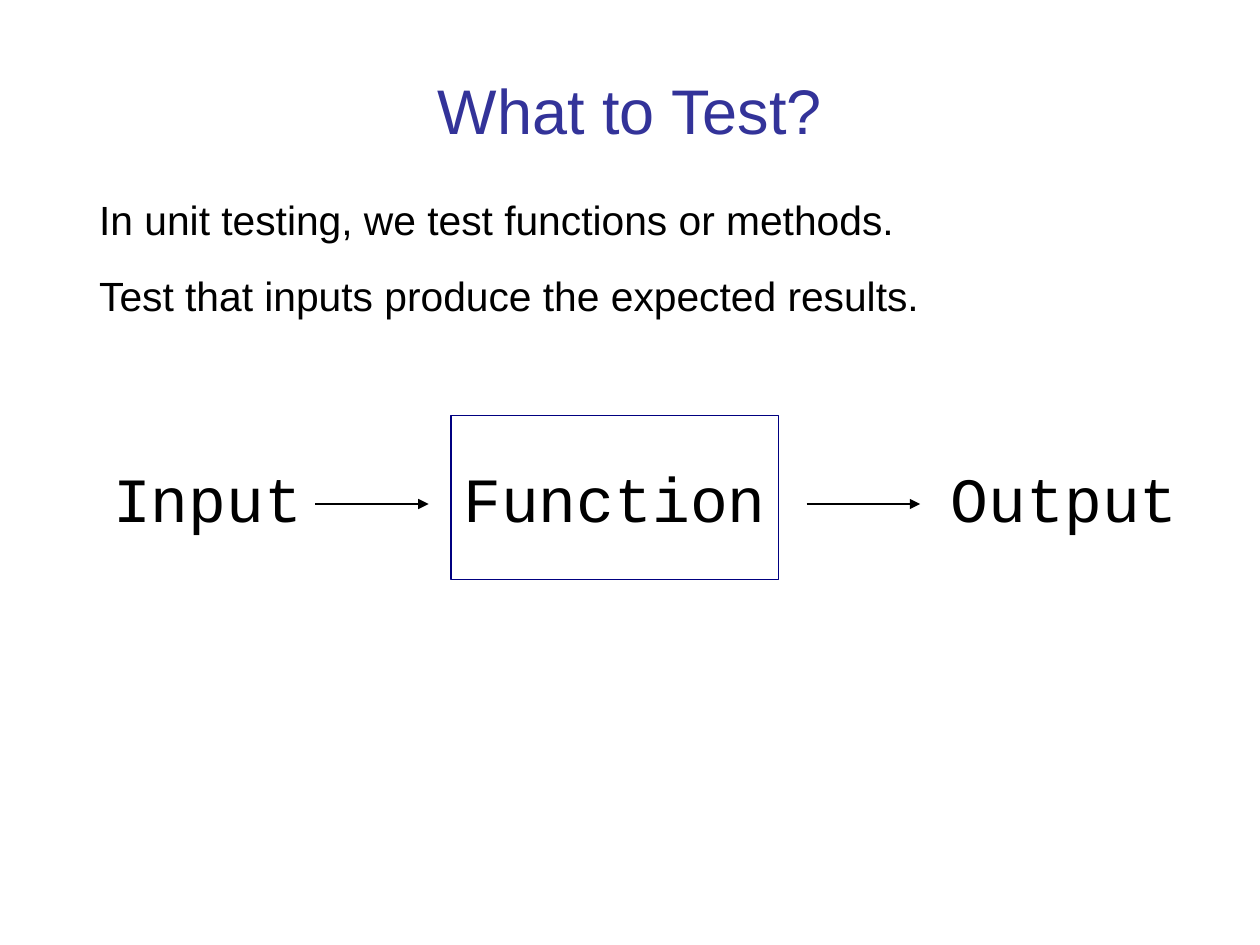
import pptx
import pptx.util
import pptx.dml.color
import pptx.enum.shapes
import pptx.enum.text
import pptx.oxml
from lxml import etree
from pptx.util import Cm, Pt

BLACK = pptx.dml.color.RGBColor(0x00, 0x00, 0x00)
NAVY = pptx.dml.color.RGBColor(0x00, 0x00, 0x80)
INDIGO = pptx.dml.color.RGBColor(0x33, 0x33, 0x99)
ANCHOR = pptx.enum.text.MSO_ANCHOR
ALIGN = pptx.enum.text.PP_ALIGN
LINE_WIDTH = Pt(0.74)
STAGE_TOP, STAGE_HEIGHT = Cm(8.38), Cm(3.3)
ARROW_Y, ARROW_LENGTH = Cm(10.16), Cm(2.29)


def fill_text(shape, lines, font_name, size, color, anchor, align, wrap=True):
    frame = shape.text_frame
    frame.word_wrap = wrap
    frame.vertical_anchor = anchor
    frame.text = "\n".join(lines)
    for paragraph in frame.paragraphs:
        paragraph.alignment = align
        paragraph.font.name = font_name
        paragraph.font.size = Pt(size)
        paragraph.font.color.rgb = color
    return frame


def add_title(slide, text):
    title = slide.shapes.add_textbox(Cm(1.7), Cm(0.71), Cm(22), Cm(2.39))
    fill_text(title, [text], "Arial", 36, INDIGO, ANCHOR.BOTTOM, ALIGN.CENTER)


def add_body(slide, lines):
    body = slide.shapes.add_textbox(Cm(1.7), Cm(3.81), Cm(22), Cm(2.79))
    frame = fill_text(body, lines, "Arial", 23.3, BLACK, ANCHOR.TOP, ALIGN.LEFT)
    for paragraph in frame.paragraphs:
        paragraph.space_before = Pt(15)
        properties = paragraph._p.get_or_add_pPr()
        properties.set("marL", str(Cm(0.94)))
        properties.set("indent", str(Cm(-0.89)))


def add_stage(slide, label, left, width, boxed):
    area = (Cm(left), STAGE_TOP, Cm(width), STAGE_HEIGHT)
    if boxed:
        stage = slide.shapes.add_shape(
            pptx.enum.shapes.MSO_SHAPE.RECTANGLE, *area)
        stage.shadow.inherit = False
        stage.fill.background()
        stage.line.color.rgb = NAVY
        stage.line.width = LINE_WIDTH
    else:
        stage = slide.shapes.add_textbox(*area)
    fill_text(stage, [label], "Courier New", 36, BLACK,
              ANCHOR.MIDDLE, ALIGN.LEFT, wrap=False)


def add_arrow(slide, left):
    arrow = slide.shapes.add_connector(
        pptx.enum.shapes.MSO_CONNECTOR.STRAIGHT,
        Cm(left), ARROW_Y, Cm(left) + ARROW_LENGTH, ARROW_Y)
    arrow.line.color.rgb = BLACK
    arrow.line.width = LINE_WIDTH
    tail = etree.SubElement(arrow.line._get_or_add_ln(),
                            pptx.oxml.ns.qn("a:tailEnd"))
    tail.set("type", "triangle")
    etree.SubElement(arrow._element.spPr, pptx.oxml.ns.qn("a:effectLst"))


def main():
    deck = pptx.Presentation()
    deck.slide_width, deck.slide_height = Cm(25.4), Cm(19.05)
    slide = deck.slides.add_slide(deck.slide_layouts[6])
    add_title(slide, "What to Test?")
    add_body(slide, ["In unit testing, we test functions or methods.",
                     "Test that inputs produce the expected results."])
    for label, left, width, boxed in [("Input", 2.03, 4.32, False),
                                      ("Function", 9.09, 6.6, True),
                                      ("Output", 18.92, 5.08, False)]:
        add_stage(slide, label, left, width, boxed)
    for left in (6.35, 16.26):
        add_arrow(slide, left)
    deck.save("out.pptx")


main()
